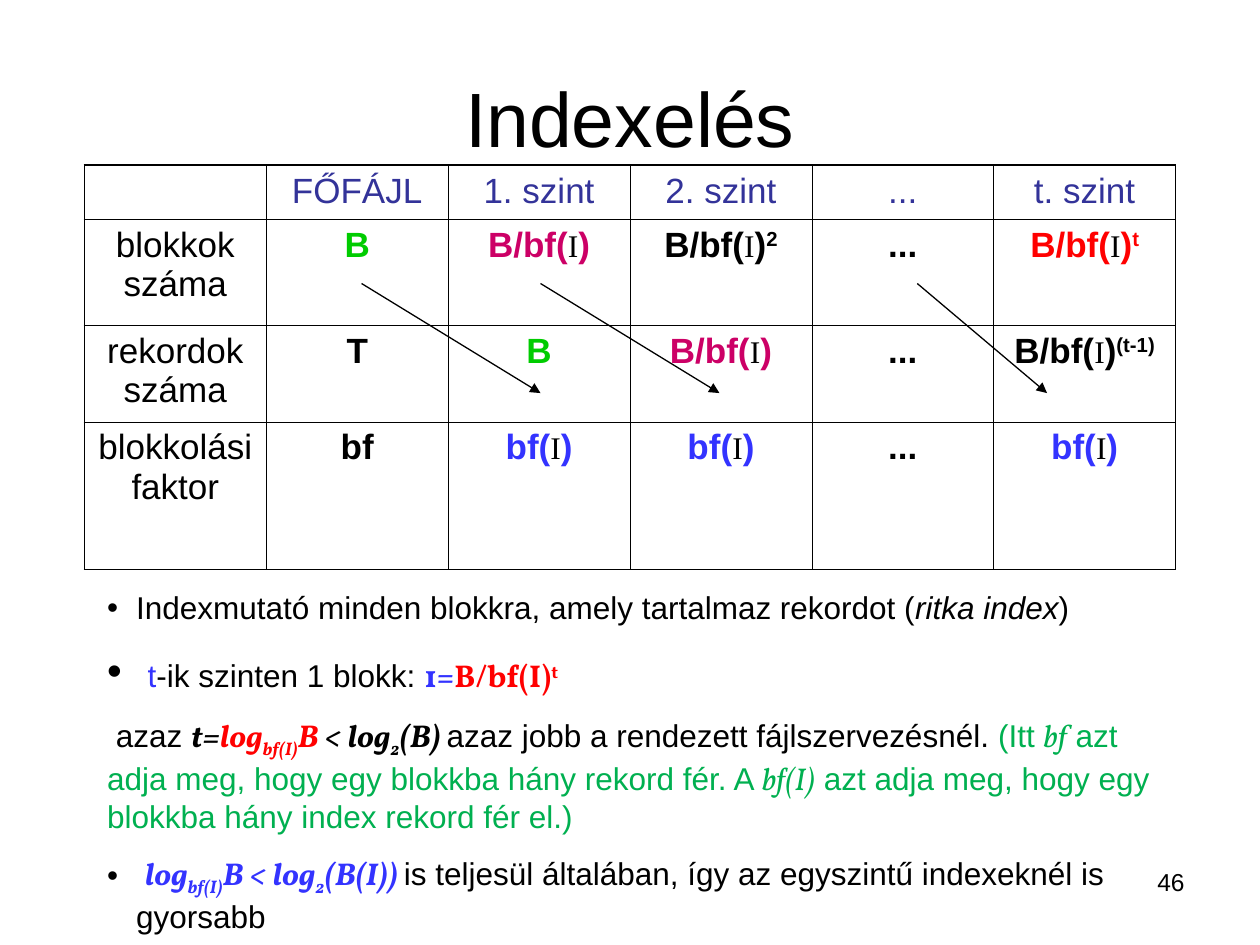
from pptx import Presentation
from pptx.dml.color import RGBColor
from pptx.enum.shapes import MSO_CONNECTOR
from pptx.enum.text import MSO_ANCHOR, MSO_AUTO_SIZE, PP_ALIGN
from pptx.oxml.ns import qn
from pptx.util import Inches, Pt
from lxml.etree import SubElement

BLACK = RGBColor(0x00, 0x00, 0x00)
NAVY = RGBColor(0x33, 0x33, 0x99)
BLUE = RGBColor(0x33, 0x33, 0xFF)
LIME = RGBColor(0x00, 0xCC, 0x00)
GREEN = RGBColor(0x00, 0xB0, 0x50)
PINK = RGBColor(0xCC, 0x00, 0x66)
RED = RGBColor(0xFF, 0x00, 0x00)


# Flags: b bold, i italic, v Vollkorn, r Times New Roman, ^ raised, _ lowered
def write(par, text, color, flags="", size=18):
    run = par.add_run()
    run.text = text
    font = run.font
    font.name = "Vollkorn" if "v" in flags else "Times New Roman" if "r" in flags else "Arial"
    font.size = Pt(size)
    font.color.rgb = color
    font.bold = "b" in flags
    font.italic = "i" in flags
    if "^" in flags or "_" in flags:
        run._r.get_or_add_rPr().set("baseline", "30000" if "^" in flags else "-25000")


def edge(cell, side, width):
    line = SubElement(cell._tc.get_or_add_tcPr(), qn("a:ln" + side), w=str(Pt(width)))
    fill = SubElement(line, qn("a:solidFill"))
    SubElement(fill, qn("a:srgbClr"), val=str(BLACK))


prs = Presentation()
prs.slide_width, prs.slide_height = Inches(10), Inches(7.5)
slide = prs.slides.add_slide(prs.slide_layouts[1])

# Title
title = slide.shapes.title
title.left, title.top = Inches(0.5), Inches(0.3)
title.width, title.height = Inches(9), Inches(1.25)
title.text_frame.text = "Indexelés"
title.text_frame.vertical_anchor = MSO_ANCHOR.MIDDLE
head = title.text_frame.paragraphs[0]
head.alignment = PP_ALIGN.CENTER
head.font.name, head.font.size = "Arial", Pt(44)
head.font.color.rgb = BLACK

# Table: text, colour and exponent of each cell
DOTS = ("...", BLACK, "")
rows = [
    [("", NAVY, "")] + [(name, NAVY, "") for name in
                        ("FŐFÁJL", "1. szint", "2. szint", "...", "t. szint")],
    [("blokkok száma", BLACK, ""), ("B", LIME, ""), ("B/bf(I)", PINK, ""),
     ("B/bf(I)", BLACK, "2"), DOTS, ("B/bf(I)", RED, "t")],
    [("rekordok száma", BLACK, ""), ("T", BLACK, ""), ("B", LIME, ""),
     ("B/bf(I)", PINK, ""), DOTS, ("B/bf(I)", BLACK, "(t-1)")],
    [("blokkolási faktor", BLACK, ""), ("bf", BLACK, ""), ("bf(I)", BLUE, ""),
     ("bf(I)", BLUE, ""), DOTS, ("bf(I)", BLUE, "")],
]
tall = [0.43, 0.84, 0.77, 1.17]
grid = slide.shapes.add_table(4, 6, Inches(0.67), Inches(1.31),
                              Inches(8.66), Inches(sum(tall))).table
grid.first_row = grid.horz_banding = False
for r, row in enumerate(rows):
    grid.rows[r].height = Inches(tall[r])
    for c, (text, color, power) in enumerate(row):
        cell = grid.cell(r, c)
        rims = {"L": c == 0, "R": c == 5, "T": r == 0, "B": r == 3}
        for side, outer in rims.items():
            edge(cell, side, 1.08 if outer else 0.45)
        cell.fill.background()
        par = cell.text_frame.paragraphs[0]
        par.alignment = PP_ALIGN.CENTER
        par.space_before = Pt(5)
        bold = "b" if r and c else ""
        left, mark, right = text.partition("I")
        if left:
            write(par, left, color, bold, 20)
        if mark:
            write(par, mark, BLACK, "r")
            write(par, right, color, bold, 20)
        if power:
            write(par, power, color, bold + "^", 20)

# Arrows from each block count to the next record count
for start, end in [(2.87, 4.29), (4.29, 5.71), (7.28, 8.31)]:
    arrow = slide.shapes.add_connector(MSO_CONNECTOR.STRAIGHT, Inches(start), Inches(2.25),
                                       Inches(end), Inches(3.12))
    arrow.line.color.rgb = BLACK
    arrow.line.width = Pt(0.74)
    SubElement(arrow.line._get_or_add_ln(), qn("a:tailEnd"), type="triangle")
    SubElement(arrow._element.spPr, qn("a:effectLst"))

# List: bullet or not, then the runs
items = [
    (True, [("Indexmutató minden blokkra, amely tartalmaz rekordot (", BLACK),
            ("ritka index", BLACK, "i"), (")", BLACK)]),
    (True, [(" ", BLACK, "", 24), ("t", BLUE), ("-ik szinten 1 blokk: ", BLACK),
            ("1=", BLUE, "vb"), ("B/bf(I)", RED, "vb"), ("t", RED, "vb^")]),
    (False, [(" azaz ", BLACK), ("t=", BLACK, "vbi"), ("log", RED, "vbi"),
             ("bf(I)", RED, "vbi_"), ("B ", RED, "vbi"), ("< log", BLACK, "vbi"),
             ("2", BLACK, "vbi_"), ("(B) ", BLACK, "vbi"),
             ("azaz jobb a rendezett fájlszervezésnél.", BLACK), (" (Itt ", GREEN),
             ("bf", GREEN, "vi"),
             (" azt adja meg, hogy egy blokkba hány rekord fér. A ", GREEN),
             ("bf(I)", GREEN, "vi"),
             (" azt adja meg, hogy egy blokkba hány index rekord fér el.)", GREEN)]),
    (True, [(" ", BLACK), ("log", BLUE, "vbi"), ("bf(I)", BLUE, "vbi_"),
            ("B < log", BLUE, "vbi"), ("2", BLUE, "vbi_"), ("(B(I)) ", BLUE, "vbi"),
            ("is teljesül általában, így az egyszintű indexeknél is gyorsabb", BLACK)]),
]
body = slide.placeholders[1]
body.left, body.top = Inches(0.75), Inches(4.62)
body.width, body.height = Inches(8.58), Inches(2.85)
frame = body.text_frame
frame.auto_size = MSO_AUTO_SIZE.NONE
for n, (dot, runs) in enumerate(items):
    par = frame.add_paragraph() if n else frame.paragraphs[0]
    par.space_before = Pt(11.2)
    props = par._p.get_or_add_pPr()
    hang = Inches(0.23) if dot else 0
    props.set("marL", str(hang))
    props.set("indent", str(-hang))
    if not dot:
        SubElement(props, qn("a:buNone"))
    for run in runs:
        write(par, *run)

# Page number
page = slide.shapes.add_textbox(Inches(7.17), Inches(6.83), Inches(2.33), Inches(0.52))
page.text_frame.word_wrap = True
par = page.text_frame.paragraphs[0]
par.alignment = PP_ALIGN.RIGHT
write(par, "46", BLACK, size=14)

prs.save("out.pptx")
